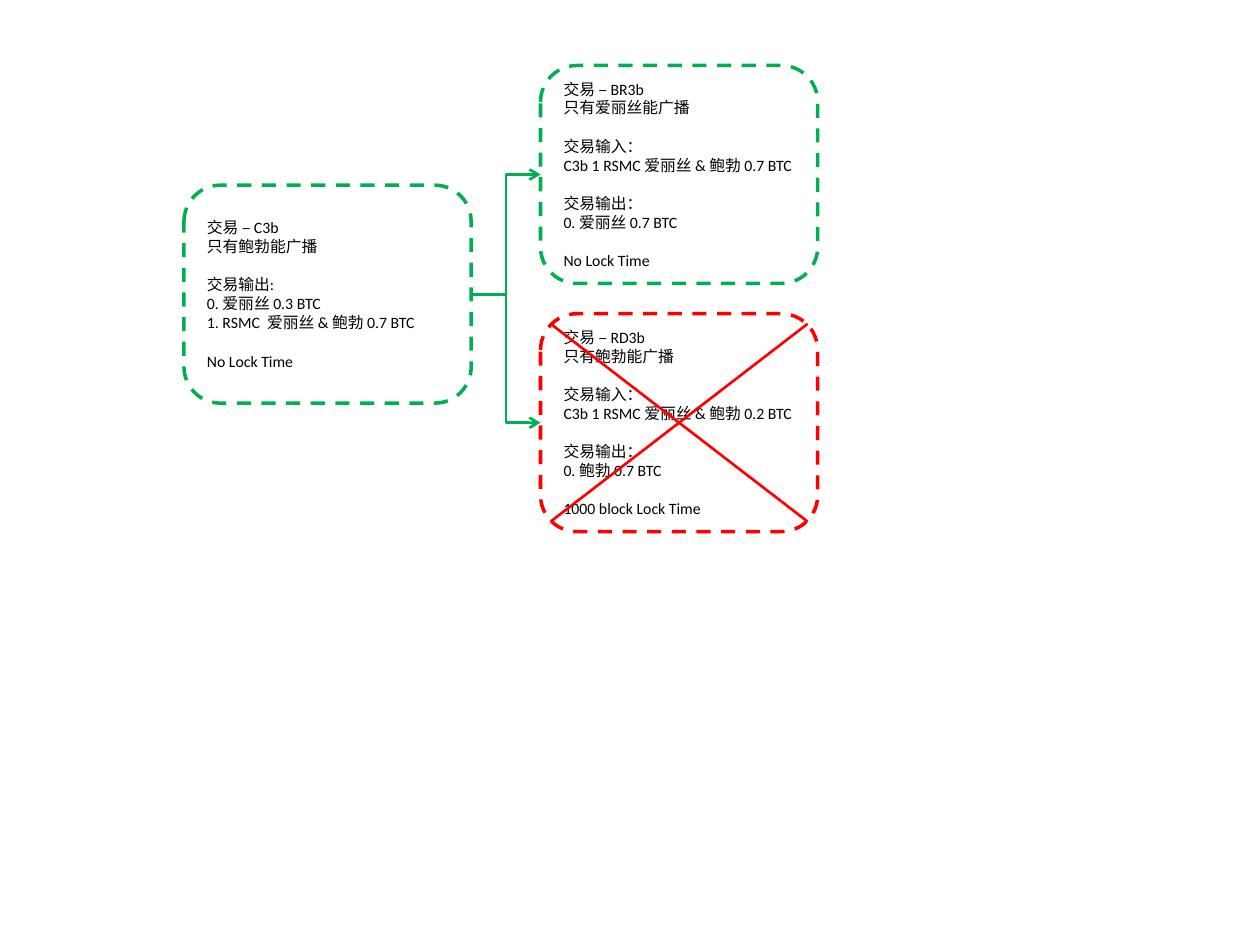
from pptx import Presentation
from pptx.dml.color import RGBColor
from pptx.enum.dml import MSO_LINE
from pptx.enum.shapes import MSO_CONNECTOR, MSO_SHAPE
from pptx.enum.text import MSO_ANCHOR, PP_ALIGN
from pptx.oxml.ns import qn
from pptx.util import Inches, Pt
from lxml import etree

ROUNDED = MSO_SHAPE.ROUNDED_RECTANGLE
ELBOW, STRAIGHT = MSO_CONNECTOR.ELBOW, MSO_CONNECTOR.STRAIGHT
DASH = MSO_LINE.DASH
MIDDLE, LEFT = MSO_ANCHOR.MIDDLE, PP_ALIGN.LEFT
LEFT_SITE, RIGHT_SITE = 1, 3
GREEN, RED, WHITE, BLACK = "00B050", "FF0000", "FFFFFF", "000000"
BOX_H = 1.73


def rgb(color):
    return RGBColor.from_string(color)


def add_transaction(s, x, y, w, color, groups):
    """Dashed box; each group of lines is set off by one line of space."""
    sp = s.shapes.add_shape(ROUNDED, Inches(x), Inches(y), Inches(w), Inches(BOX_H))
    sp.shadow.inherit = False
    sp.fill.solid()
    sp.fill.fore_color.rgb = rgb(WHITE)
    sp.line.color.rgb = rgb(color)
    sp.line.width = Pt(2)
    sp.line.dash_style = DASH
    tf = sp.text_frame
    tf.word_wrap = True
    tf.vertical_anchor = MIDDLE
    for g, lines in enumerate(groups):
        for i, line in enumerate(lines):
            p = tf.paragraphs[0] if g == i == 0 else tf.add_paragraph()
            p.text = line
            p.alignment = LEFT
            p.font.name = "Calibri"
            p.font.size = Pt(9)
            p.font.color.rgb = rgb(BLACK)
            if g and i == 0:
                p.space_before = Pt(11)
    return sp


def add_line(s, kind, color, x1=0, y1=0, x2=0, y2=0):
    line = s.shapes.add_connector(kind, Inches(x1), Inches(y1), Inches(x2), Inches(y2))
    line.line.color.rgb = rgb(color)
    line.line.width = Pt(1.5)
    etree.SubElement(line._element.spPr, qn("a:effectLst"))
    return line


def add_arrow(s, source, target):
    arrow = add_line(s, ELBOW, GREEN)
    arrow.begin_connect(source, RIGHT_SITE)
    arrow.end_connect(target, LEFT_SITE)
    etree.SubElement(arrow.line._get_or_add_ln(), qn("a:tailEnd"), type="arrow")


def add_cross(s, x, y, w, inset=0.08):
    """Diagonals between the rounded corners of a box."""
    left, right = x + inset, x + w - inset
    top, bottom = y + inset, y + BOX_H - inset
    add_line(s, STRAIGHT, RED, left, top, right, bottom)
    add_line(s, STRAIGHT, RED, left, bottom, right, top)


prs = Presentation()
prs.slide_width, prs.slide_height = Inches(10), Inches(7.5)
s = prs.slides.add_slide(prs.slide_layouts[6])

# Transaction boxes
commitment = add_transaction(s, 1.46, 1.47, 2.28, GREEN, [
    ["交易 – C3b ", "只有鲍勃能广播"],
    ["交易输出: ", "0. 爱丽丝 0.3 BTC", "1. RSMC  爱丽丝 & 鲍勃 0.7 BTC"],
    ["No Lock Time"],
])
child_x, child_w, revoked_y = 4.29, 2.2, 2.49
revoked = add_transaction(s, child_x, revoked_y, child_w, RED, [
    ["交易 – RD3b ", "只有鲍勃能广播"],
    ["交易输入：", "C3b 1 RSMC 爱丽丝 & 鲍勃 0.2 BTC"],
    ["交易输出：", "0. 鲍勃 0.7 BTC"],
    ["1000 block Lock Time"],
])
breach = add_transaction(s, child_x, 0.52, child_w, GREEN, [
    ["交易 – BR3b ", "只有爱丽丝能广播"],
    ["交易输入：", "C3b 1 RSMC 爱丽丝 & 鲍勃 0.7 BTC"],
    ["交易输出：", "0. 爱丽丝 0.7 BTC"],
    ["No Lock Time"],
])

# Arrows to the spending transactions, and the cross on the revoked one
for child in (breach, revoked):
    add_arrow(s, commitment, child)
add_cross(s, child_x, revoked_y, child_w)

prs.save("out.pptx")
